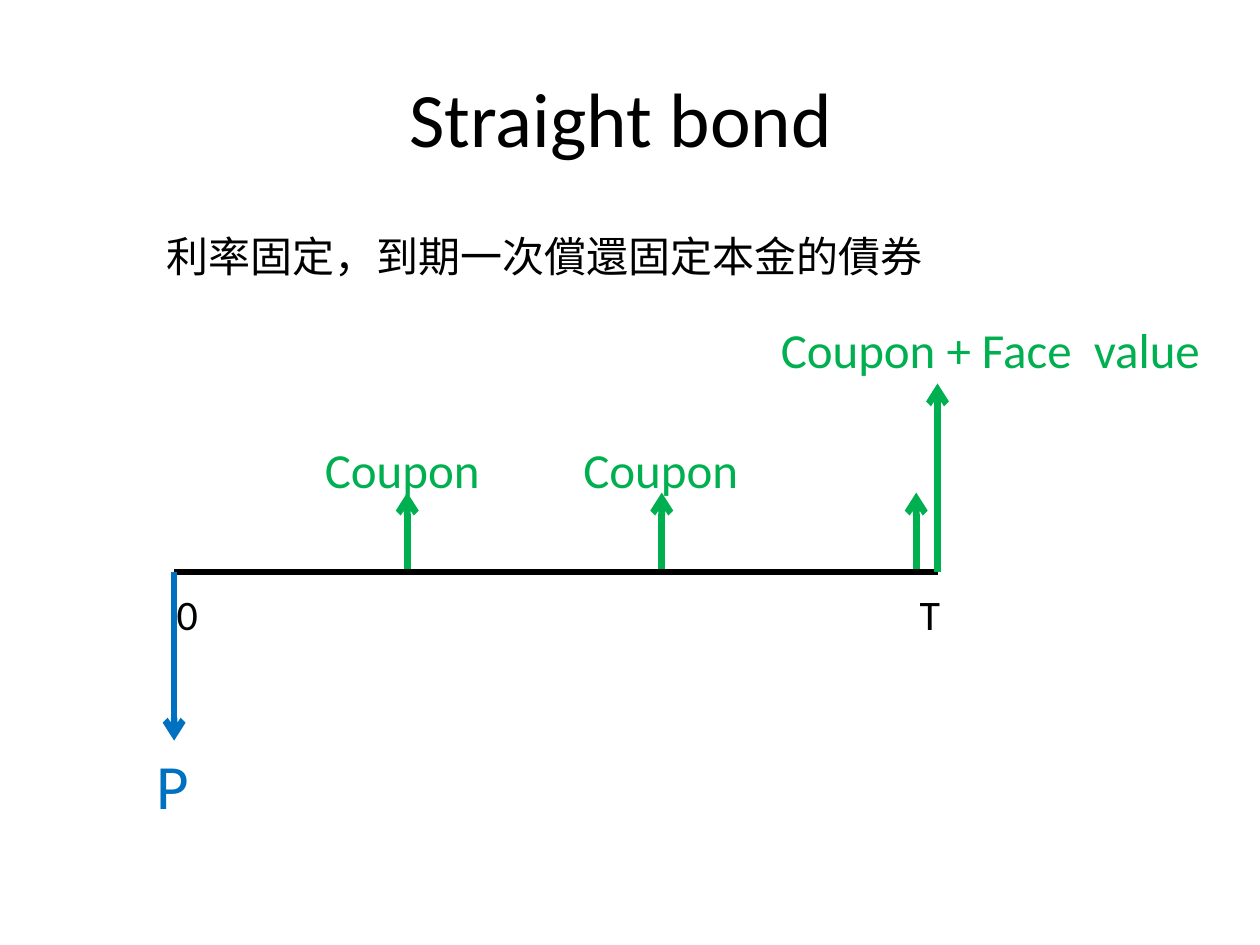
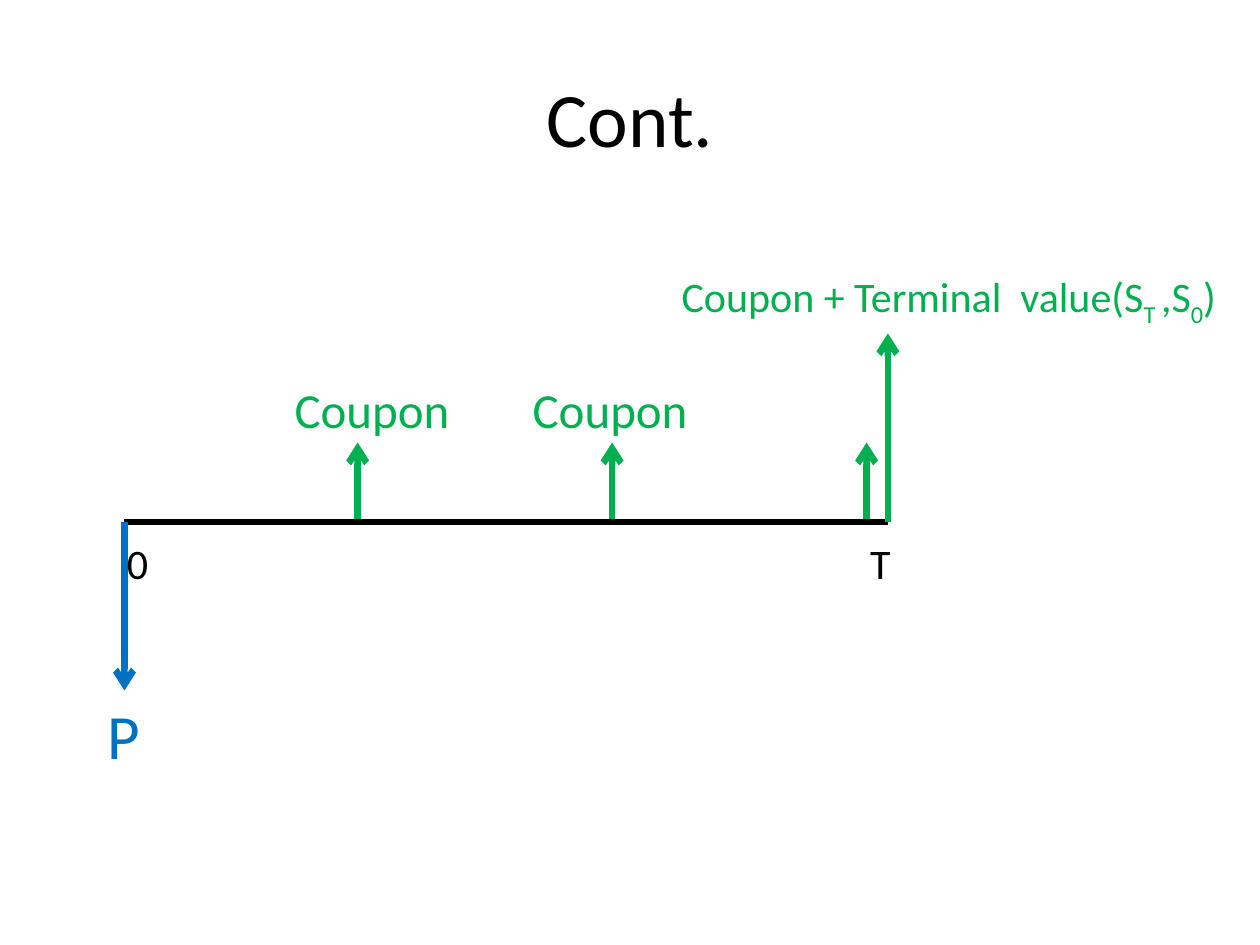
"""Build two slides with the cash flows of a straight bond and a linked one."""
from lxml import etree
from pptx import Presentation
from pptx import util as u
from pptx.dml.color import RGBColor
from pptx.enum import shapes, text
from pptx.oxml.ns import qn

FONT = "Calibri"
HUES = {"ink": "000000", "gain": "00B050", "cost": "0070C0"}
STEP = 5.13
LEAD = 4.7
RISE = 1.6
PEAK = 3.8
DROP = 3.4


def write(frame, runs, size=24, hue="ink", align=None):
    if isinstance(runs, str):
        runs = [(runs, 0)]
    para = frame.paragraphs[0]
    para.alignment = align
    for words, base in runs:
        run = para.add_run()
        run.text = words
        run.font.name = FONT
        run.font.size = u.Pt(size)
        run.font.color.rgb = RGBColor.from_string(HUES[hue])
        if base:
            run.font._element.set("baseline", str(base * 1000))


def label(slide, runs, x, y, wide, high=1.27, **style):
    box = slide.shapes.add_textbox(u.Cm(x), u.Cm(y), u.Cm(wide), u.Cm(high))
    frame = box.text_frame
    frame.word_wrap = True
    frame.auto_size = text.MSO_AUTO_SIZE.SHAPE_TO_FIT_TEXT
    write(frame, runs, **style)


def rule(slide, x, y, dx=0, dy=0, hue="ink", arrow=True):
    line = slide.shapes.add_connector(
        shapes.MSO_CONNECTOR.STRAIGHT,
        u.Cm(x), u.Cm(y), u.Cm(x + dx), u.Cm(y + dy))
    line.line.width = u.Pt(3.75)
    line.line.color.rgb = RGBColor.from_string(HUES[hue])
    if arrow:
        tail = etree.SubElement(line.line._get_or_add_ln(), qn("a:tailEnd"))
        tail.set("type", "arrow")
    etree.SubElement(line._element.spPr, qn("a:effectLst"))


def start(deck, words):
    slide = deck.slides.add_slide(deck.slide_layouts[5])
    title = slide.shapes.title
    title.left, title.top = u.Cm(1.27), u.Cm(0.76)
    title.width, title.height = u.Cm(22.86), u.Cm(3.18)
    title.text_frame.vertical_anchor = text.MSO_ANCHOR.MIDDLE
    write(title.text_frame, words, size=44, align=text.PP_ALIGN.CENTER)
    return slide


def flows(slide, x, y):
    for i in range(3):
        rule(slide, x + LEAD + i * STEP, y, dy=-RISE, hue="gain")
        rule(slide, x + i * STEP, y, dx=STEP, arrow=False)
    rule(slide, x, y, dy=DROP, hue="cost")
    rule(slide, x + 3 * STEP, y, dy=-PEAK, hue="gain")
    label(slide, "P", x - 0.6, y + DROP, 2.2, 1.8, size=36, hue="cost")
    label(slide, "0", x - 0.2, y + 0.2, 1.4)
    label(slide, "T", x + 14.78, y + 0.2, 1.4)


def coupons(slide, y, *spots):
    for x in spots:
        label(slide, "Coupon", x, y, 4, 1.45, size=28, hue="gain")


def main():
    deck = Presentation()
    deck.slide_width, deck.slide_height = u.Cm(25.4), u.Cm(19.05)

    bond = start(deck, "Straight bond\t")
    flows(bond, 3.51, 11.53)
    coupons(bond, 8.74, 6.3, 11.51)
    label(bond, "Coupon + Face  value", 15.49, 6.32, 9.91, 1.45,
          size=28, hue="gain")
    label(bond, "利率固定，到期一次償還固定本金的債券", 3.1, 4.52, 18.8)

    cont = start(deck, "Cont.")
    flows(cont, 2.51, 10.52)
    coupons(cont, 7.52, 5.69, 10.49)
    value = [("Coupon + Terminal  value(S", 0), ("T ", -25), (",S", 0),
             ("0", -25), (")", 0)]
    label(cont, value, 13.49, 5.33, 11.91, hue="gain")

    deck.save("out.pptx")


if __name__ == "__main__":
    main()
